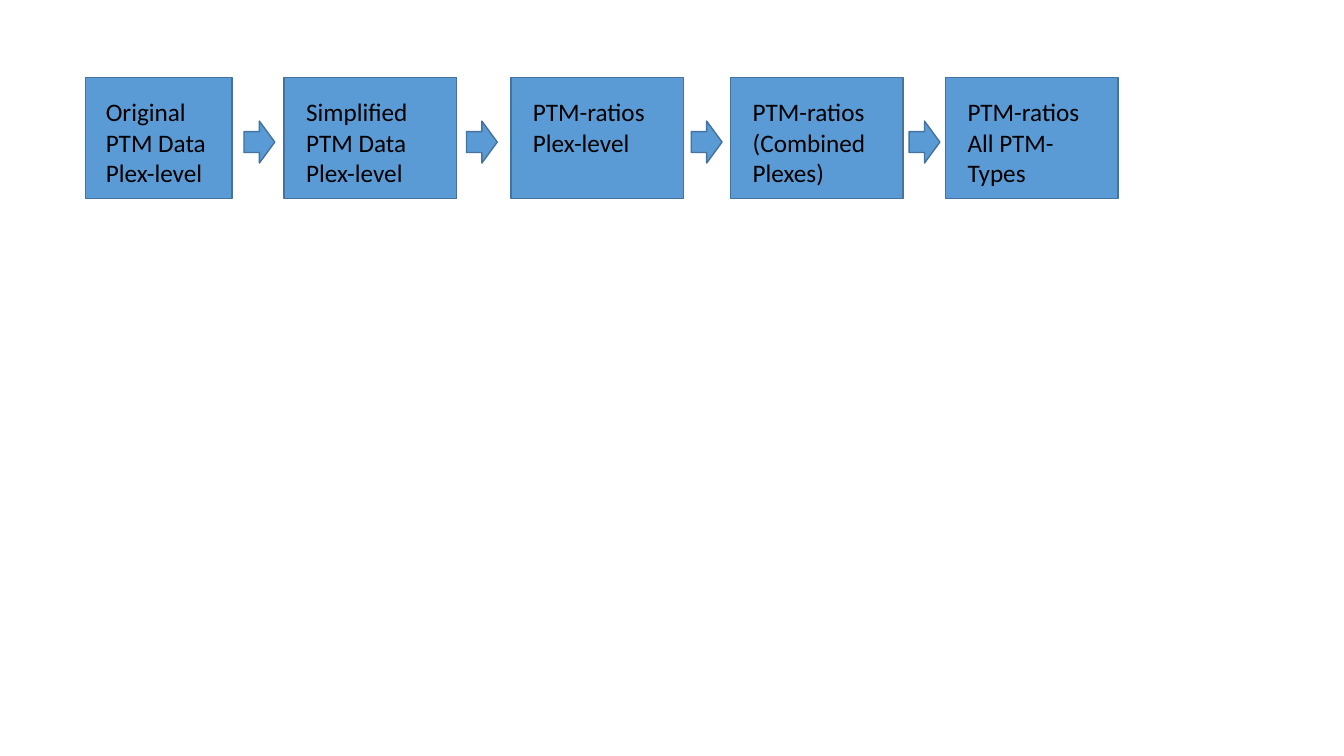
"""Build a slide showing the five stages of PTM data processing."""
from dataclasses import dataclass

from pptx import Presentation
from pptx.dml.color import RGBColor
from pptx.enum.shapes import MSO_SHAPE as Shape
from pptx.enum.text import MSO_AUTO_SIZE as AutoSize, PP_ALIGN as Align
from pptx.shapes.autoshape import Shape as AutoShape
from pptx.slide import Slide
from pptx.util import Pt


@dataclass(frozen=True)
class Theme:
    fill: RGBColor = RGBColor(0x5B, 0x9B, 0xD5)
    outline: RGBColor = RGBColor(0x43, 0x73, 0x9E)
    text: RGBColor = RGBColor(0, 0, 0)
    font: str = "Calibri"
    size: float = 18
    outline_width: float = 1


@dataclass(frozen=True)
class Stage:
    left: float
    paragraphs: tuple[str, ...]
    lines: int = 3
    width: float = 123.2


THEME = Theme()
STAGES = (
    Stage(61.2, ("Original PTM Data", "Plex-level"), width=104.6),
    Stage(203, ("Simplified", "PTM Data", "Plex-level")),
    Stage(365, ("PTM-ratios Plex-level",), lines=2),
    Stage(522, ("PTM-ratios (Combined Plexes)",)),
    Stage(675.4, ("PTM-ratios", "All PTM-Types")),
)
ARROW_LEFTS = (174.3, 333.2, 493.8, 649.4)
STAGE_TOP, STAGE_HEIGHT = 55.5, 86.4
LABEL_TOP, LINE_HEIGHT, LABEL_PADDING = 65.5, 21.8, 7.2
LABEL_INSET_SHARE = 0.07
ARROW_WIDTH, ARROW_HEIGHT = 22, 30
ARROW_TOP = STAGE_TOP + (STAGE_HEIGHT - ARROW_HEIGHT) / 2 + 2.8


def paint(shape: AutoShape) -> None:
    """Give a shape the flat fill and outline of the theme."""
    shape.shadow.inherit = False
    shape.fill.solid()
    shape.fill.fore_color.rgb = THEME.fill
    shape.line.color.rgb = THEME.outline
    shape.line.width = Pt(THEME.outline_width)


def draw_stage(slide: Slide, stage: Stage) -> None:
    """Draw one stage as a group of a box and its label."""
    group = slide.shapes.add_group_shape()
    paint(group.shapes.add_shape(
        Shape.RECTANGLE, Pt(stage.left), Pt(STAGE_TOP),
        Pt(stage.width), Pt(STAGE_HEIGHT)))
    inset = stage.width * LABEL_INSET_SHARE
    label = group.shapes.add_textbox(
        Pt(stage.left + inset), Pt(LABEL_TOP), Pt(stage.width - 2 * inset),
        Pt(stage.lines * LINE_HEIGHT + LABEL_PADDING))
    frame = label.text_frame
    frame.word_wrap = True
    frame.auto_size = AutoSize.SHAPE_TO_FIT_TEXT
    frame.text = "\n".join(stage.paragraphs)
    for paragraph in frame.paragraphs:
        paragraph.alignment = Align.LEFT
        paragraph.font.name = THEME.font
        paragraph.font.size = Pt(THEME.size)
        paragraph.font.color.rgb = THEME.text


def draw_arrow(slide: Slide, left: float) -> None:
    """Draw the arrow that leads to the next stage."""
    paint(slide.shapes.add_shape(
        Shape.RIGHT_ARROW, Pt(left), Pt(ARROW_TOP),
        Pt(ARROW_WIDTH), Pt(ARROW_HEIGHT)))


def main() -> None:
    """Lay out the workflow and save the presentation."""
    presentation = Presentation()
    presentation.slide_width, presentation.slide_height = Pt(960), Pt(540)
    slide = presentation.slides.add_slide(presentation.slide_layouts[6])
    for stage in STAGES:
        draw_stage(slide, stage)
    for left in ARROW_LEFTS:
        draw_arrow(slide, left)
    presentation.save("out.pptx")


if __name__ == "__main__":
    main()
